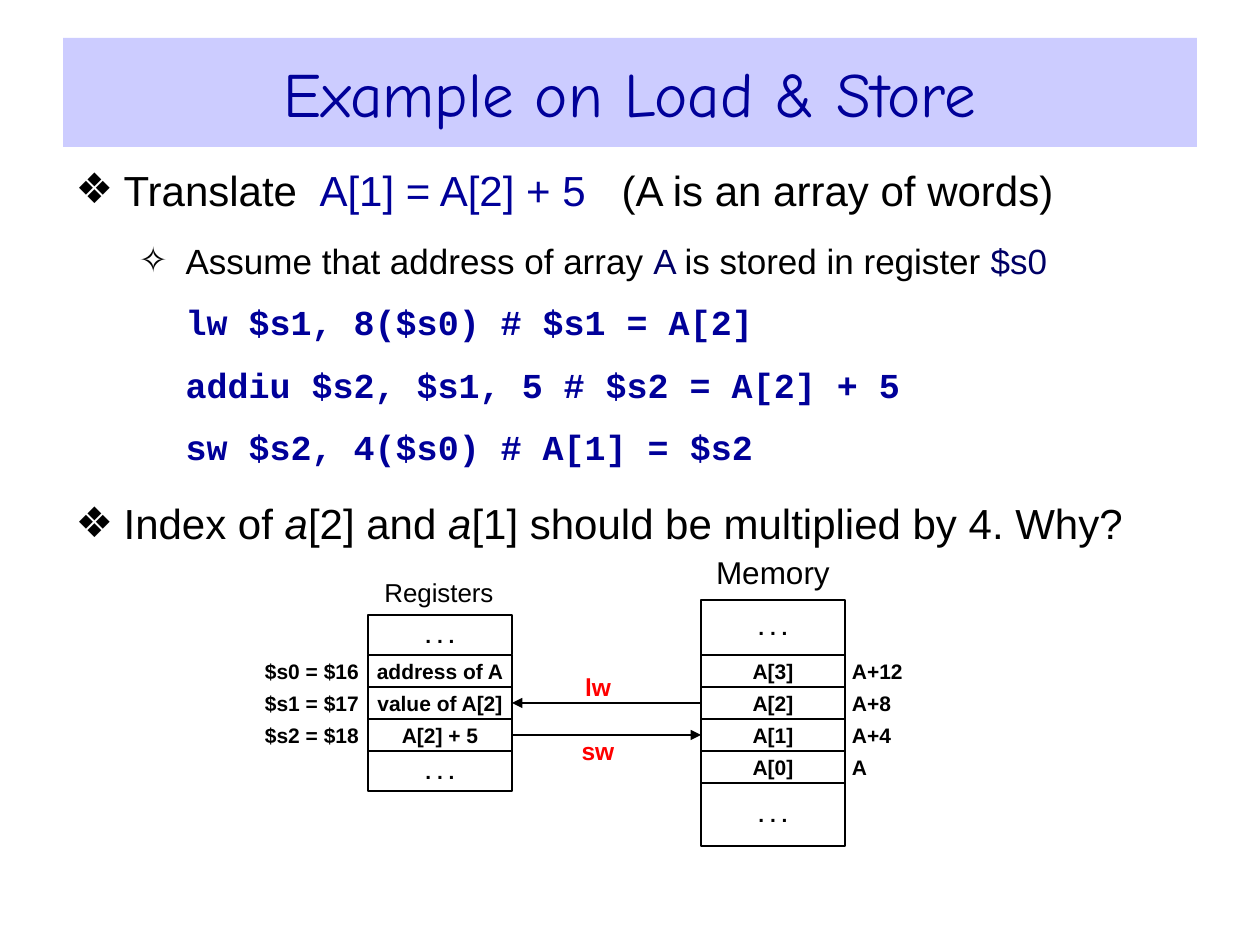
from lxml.etree import SubElement
from pptx import Presentation
from pptx.dml.color import RGBColor
from pptx.enum.shapes import MSO_CONNECTOR, MSO_SHAPE
from pptx.enum.text import MSO_ANCHOR, MSO_AUTO_SIZE, PP_ALIGN
from pptx.oxml.ns import qn
from pptx.util import Emu, Pt

PX = 914400 // 126
BLACK = RGBColor(0, 0, 0)
BLUE = RGBColor(0, 0, 0x99)
NAVY = RGBColor(0, 0, 0x66)
RED = RGBColor(0xFF, 0, 0)
LILAC = RGBColor(0xCC, 0xCC, 0xFF)


def place(shape, left, top, width, height):
    shape.left, shape.top = Emu(left * PX), Emu(top * PX)
    shape.width, shape.height = Emu(width * PX), Emu(height * PX)


def label(text, left, top, width, height, size=12, bold=True,
          color=BLACK, align=PP_ALIGN.CENTER, boxed=False):
    area = [Emu(n * PX) for n in (left, top, width, height)]
    if boxed:
        shape = slide.shapes.add_shape(MSO_SHAPE.RECTANGLE, *area)
        shape.shadow.inherit = False
        shape.fill.background()
        shape.line.color.rgb = BLACK
        shape.line.width = Pt(0.75)
    else:
        shape = slide.shapes.add_textbox(*area)
    frame = shape.text_frame
    frame.word_wrap = True
    frame.vertical_anchor = MSO_ANCHOR.MIDDLE
    frame.margin_left = frame.margin_right = 0
    frame.margin_top = frame.margin_bottom = 0
    frame.text = text
    para = frame.paragraphs[0]
    para.alignment = align
    font = para.runs[0].font
    font.name, font.size, font.bold = "Arial", Pt(size), bold
    font.color.rgb = color
    return shape


prs = Presentation()
prs.slide_width, prs.slide_height = Emu(1260 * PX), Emu(945 * PX)
slide = prs.slides.add_slide(prs.slide_layouts[1])

title = slide.shapes.title
place(title, 63, 38, 1134, 109)
title.fill.solid()
title.fill.fore_color.rgb = LILAC
title.text_frame.text = "Example on Load & Store"
title.text_frame.auto_size = MSO_AUTO_SIZE.NONE
title.text_frame.vertical_anchor = MSO_ANCHOR.MIDDLE
head = title.text_frame.paragraphs[0]
head.alignment = PP_ALIGN.CENTER
font = head.runs[0].font
font.name, font.size, font.color.rgb = "Comic Neue", Pt(36), BLUE

body = slide.placeholders[1]
place(body, 63, 158, 1134, 394)
frame = body.text_frame
frame.auto_size = MSO_AUTO_SIZE.NONE
frame.word_wrap = True

MAIN = dict(level=0, mark="❖", left=48, hang=48, size=24, gap=17, face="Arial")
SUB = dict(level=1, mark="✧", left=110, hang=47, size=20, gap=14, face="Arial")
CODE = dict(level=1, mark=None, left=110, hang=0, size=20, gap=14, face="Courier New")
STOPS = [126, 378]
lines = [
    (MAIN, [196, 498], [("Translate\t", BLACK, False),
                        ("A[1] = A[2] + 5\t", BLUE, False),
                        ("(A is an array of words)", BLACK, False)]),
    (SUB, [], [("Assume that address of array ", BLACK, False), ("A ", NAVY, False),
               ("is stored in register ", BLACK, False), ("$s0", NAVY, False)]),
    (CODE, STOPS, [("lw\t$s1, 8($s0)\t# $s1 = A[2]", BLUE, False)]),
    (CODE, STOPS, [("addiu\t$s2, $s1, 5\t# $s2 = A[2] + 5", BLUE, False)]),
    (CODE, STOPS, [("sw\t$s2, 4($s0)\t# A[1] = $s2", BLUE, False)]),
    (MAIN, [], [("Index of ", BLACK, False), ("a", BLACK, True),
                ("[2] and ", BLACK, False), ("a", BLACK, True),
                ("[1] should be multiplied by 4. Why?", BLACK, False)]),
]
for i, (style, stops, parts) in enumerate(lines):
    para = frame.add_paragraph() if i else frame.paragraphs[0]
    para.level = style["level"]
    props = para._p.get_or_add_pPr()
    props.set("marL", str(style["left"] * PX))
    props.set("indent", str(-style["hang"] * PX))
    if style["mark"]:
        tint = SubElement(props, qn("a:buClr"))
        SubElement(tint, qn("a:srgbClr"), val=str(BLACK))
        SubElement(props, qn("a:buChar"), char=style["mark"])
    else:
        SubElement(props, qn("a:buNone"))
    if stops:
        tabs = SubElement(props, qn("a:tabLst"))
        for stop in sorted(stops + [n + style["left"] for n in stops]):
            SubElement(tabs, qn("a:tab"), pos=str(stop * PX), algn="l")
    para.space_before = Pt(style["gap"] if i else 0)
    para.line_spacing = 0.9 if style is CODE else 1.0
    for text, color, slant in parts:
        run = para.add_run()
        run.text = text
        font = run.font
        font.name, font.size = style["face"], Pt(style["size"])
        font.bold, font.italic = style is CODE, slant
        font.color.rgb = color

TOP, ROW, WIDE = 655, 32, 144
DOTS = ". . ."
cells = {}
for left, above, below, names in [
    (368, 40, 40, ["address of A", "value of A[2]", "A[2] + 5"]),
    (701, 55, 63, ["A[3]", "A[2]", "A[1]", "A[0]"]),
]:
    label(DOTS, left, TOP - above, WIDE, above, boxed=True)
    for i, name in enumerate(names):
        cells[name] = label(name, left, TOP + i * ROW, WIDE, ROW, boxed=True)
    label(DOTS, left, TOP + len(names) * ROW, WIDE, below, boxed=True)

for left, names in [(265, ["$s0 = $16", "$s1 = $17", "$s2 = $18"]),
                    (852, ["A+12", "A+8", "A+4", "A"])]:
    for i, name in enumerate(names):
        label(name, left, TOP + i * ROW, 103, ROW, align=PP_ALIGN.LEFT)

label("Registers", 375, 576, 128, 32, size=14.8, bold=False)
label("Memory", 709, 552, 128, 40, size=18, bold=False)
label("lw", 558, 671, 80, 32, size=14, color=RED)
label("sw", 558, 735, 80, 32, size=14, color=RED)

for start, side, end, goal in [("A[2]", 1, "value of A[2]", 3),
                               ("A[2] + 5", 3, "A[1]", 1)]:
    arrow = slide.shapes.add_connector(MSO_CONNECTOR.STRAIGHT, 0, 0, 0, 0)
    arrow.begin_connect(cells[start], side)
    arrow.end_connect(cells[end], goal)
    arrow.line.color.rgb = BLACK
    arrow.line.width = Pt(0.75)
    SubElement(arrow.line._get_or_add_ln(), qn("a:tailEnd"), type="triangle")
    SubElement(arrow._element.spPr, qn("a:effectLst"))

prs.save("out.pptx")
